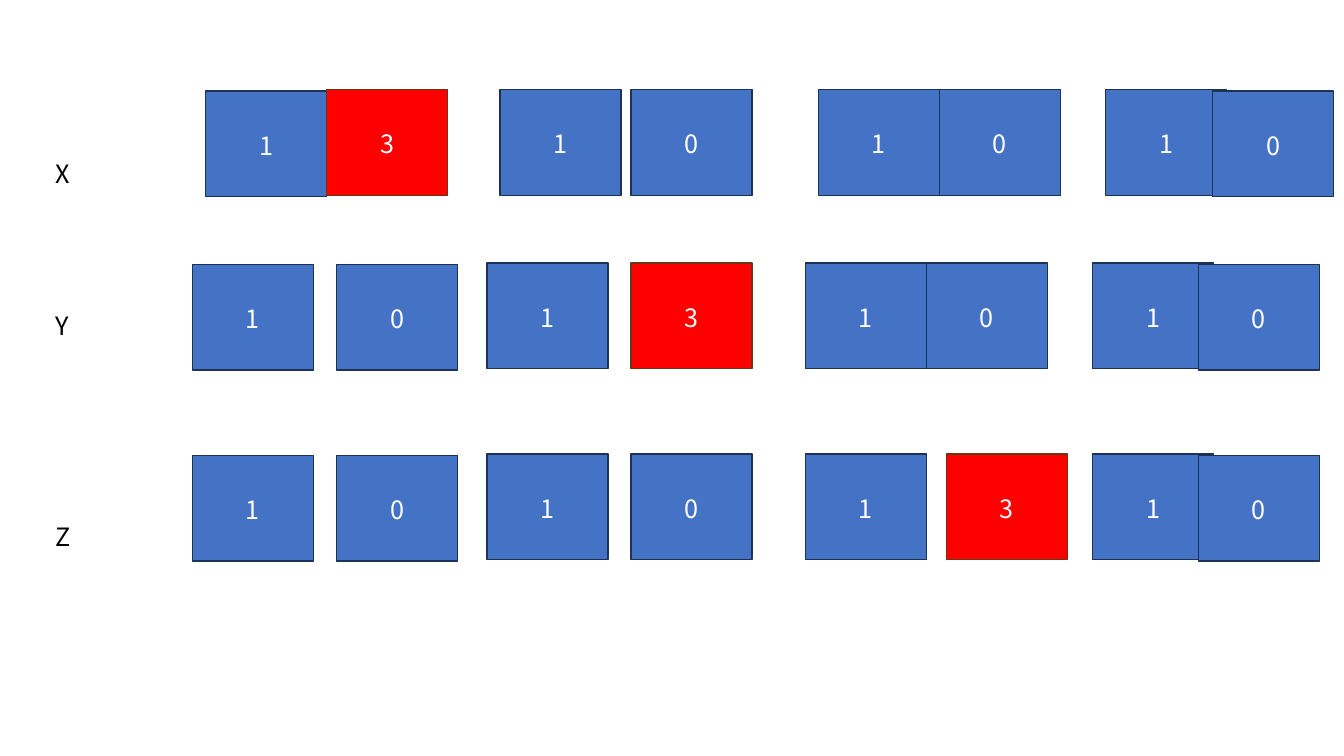
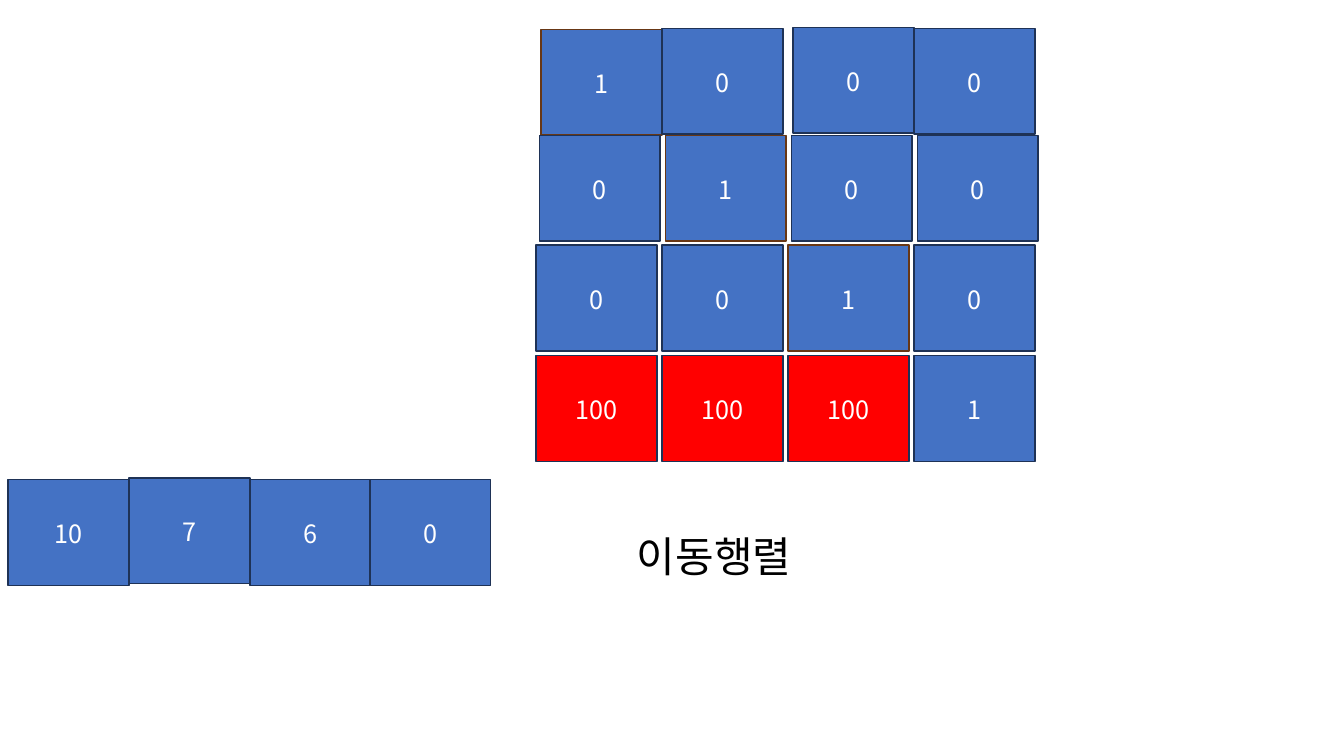
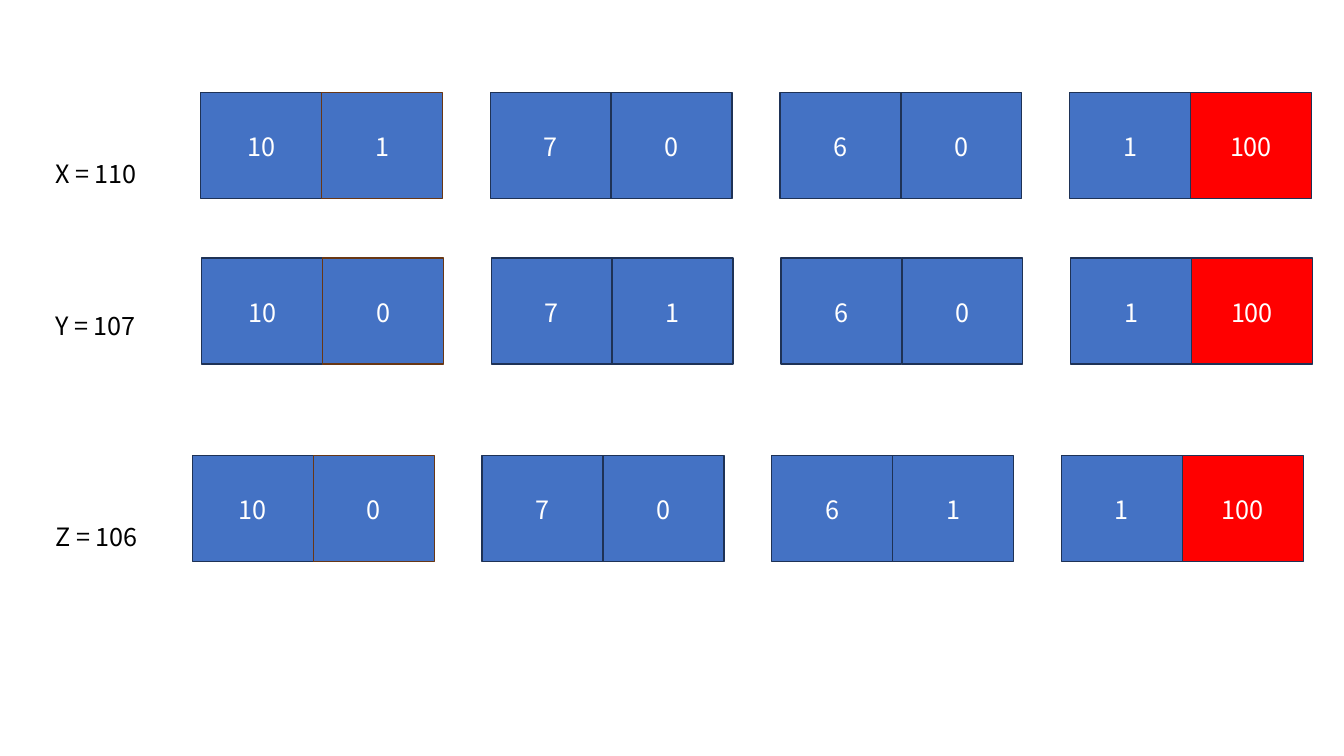
from lxml import etree
from pptx import Presentation
from pptx.dml.color import RGBColor
from pptx.enum.shapes import MSO_SHAPE
from pptx.enum.text import MSO_ANCHOR, MSO_AUTO_SIZE, PP_ALIGN
from pptx.oxml.ns import qn
from pptx.util import Pt

RECT = MSO_SHAPE.RECTANGLE
MIDDLE = MSO_ANCHOR.MIDDLE
GROW = MSO_AUTO_SIZE.SHAPE_TO_FIT_TEXT
LEFT, CENTER = PP_ALIGN.LEFT, PP_ALIGN.CENTER

COLORS = {"blue": "4472C4", "red": "FF0000", "navy": "1E3256",
          "brown": "683715", "white": "FFFFFF", "black": "000000"}
FONT = "Noto Sans CJK KR"
LEADING = 1.29
CELL_W, CELL_H = 86.4, 75.6


def rgb(name):
    return RGBColor.from_string(COLORS[name])


def write(p, text, size, color, align=LEFT, before=0):
    paragraph_format = {"alignment": align, "space_before": Pt(before),
                        "line_spacing": Pt(round(size * LEADING, 1))}
    for name, value in paragraph_format.items():
        setattr(p, name, value)
    r = p.add_run()
    r.text = text
    for name, value in {"size": Pt(size), "name": FONT}.items():
        setattr(r.font, name, value)
    r.font.color.rgb = rgb(color)
    # East Asian typeface for the Korean text
    etree.SubElement(r.font._element, qn("a:ea"), typeface=FONT)


def add_cell(s, text, left, top, fill, edge):
    sp = s.shapes.add_shape(RECT, Pt(left), Pt(top), Pt(CELL_W), Pt(CELL_H))
    sp.shadow.inherit = False
    sp.fill.solid()
    sp.fill.fore_color.rgb = rgb(fill)
    sp.line.color.rgb = rgb(edge)
    sp.line.width = Pt(1)
    tf = sp.text_frame
    tf.vertical_anchor = MIDDLE
    write(tf.paragraphs[0], text, 18, "white", CENTER)


def add_row(s, values, lefts, top, red=(), brown=(), shifts=None):
    """Draw one row; red and brown hold the columns with that fill or edge."""
    shifts = shifts or {}
    for col, (text, left) in enumerate(zip(values.split(), lefts)):
        add_cell(s, text, left, top + shifts.get(col, 0),
                 "red" if col in red else "blue",
                 "brown" if col in brown else "navy")


def add_text(s, lines, left, top, width, height, size, gaps=(0,)):
    sp = s.shapes.add_textbox(Pt(left), Pt(top), Pt(width), Pt(height))
    tf = sp.text_frame
    tf.word_wrap = False
    tf.auto_size = GROW
    for i, (text, gap) in enumerate(zip(lines, gaps)):
        p = tf.add_paragraph() if i else tf.paragraphs[0]
        write(p, text, size, "black", before=gap)


def add_axis_labels(s, labels, width):
    add_text(s, labels, 32.4, 108, width, 290.9, 18, gaps=(0, 85.4, 127.5))


def add_scaling_slide(s):
    low_ends = {0: 1, 7: 1}
    low_start = {0: 1, 1: 1, 7: 1}
    x_lefts = (146.9, 233.3, 357.1, 450.7, 584.6, 671, 789.8, 866.2)
    y_lefts = (137.5, 240.5, 347.8, 450.7, 575.3, 661.7, 780.5, 856.1)
    z_lefts = (*y_lefts[:5], 676.1, *y_lefts[6:])
    rows = (("1 3 1 0 1 0 1 0", x_lefts, 64, 1, low_ends),
            ("1 0 1 3 1 0 1 0", y_lefts, 187.8, 3, low_start),
            ("1 0 1 0 1 3 1 0", z_lefts, 324.2, 5, low_start))
    for values, lefts, top, red, shifts in rows:
        add_row(s, values, lefts, top, (red,), (red,), shifts)
    add_axis_labels(s, ("X", "Y", "Z"), 25.2)


def add_matrix_slide(s):
    # Vector
    add_row(s, "10 7 6 0", (5.8, 92.2, 178.6, 264.2), 342.6, shifts={1: -1.3})
    # Translation matrix
    add_row(s, "1 0 0 0", (386.6, 473, 566.6, 653), 20.2, brown=(0,),
            shifts={0: 0.7, 2: -0.7})
    rows = (("0 1 0 0", 385.2, 96.6, (), (1,)),
            ("0 0 1 0", 383, 175, (), (2,)),
            ("100 100 100 1", 383, 254, (0, 1, 2), ()))
    for values, left, top, red, brown in rows:
        lefts = [left + 90 * col for col in range(4)]
        add_row(s, values, lefts, top, red, brown)
    add_text(s, ("이동행렬",), 447.8, 373, 135.4, 43.9, 30)


def add_result_slide(s):
    add_axis_labels(s, ("X = 110", "Y = 107", "Z = 106"), 81.4)
    rows = (("10 1 7 0 6 0 1 100", 143.3, 66.2),
            ("10 0 7 1 6 0 1 100", 144, 184.4),
            ("10 0 7 0 6 1 1 100", 137.5, 325.4))
    for values, left, top in rows:
        lefts = [left + 206.9 * pair + CELL_W * side
                 for pair in range(4) for side in range(2)]
        add_row(s, values, lefts, top, red=(7,), brown=(1,))


def main():
    prs = Presentation()
    prs.slide_width, prs.slide_height = Pt(960), Pt(540)
    blank = prs.slide_layouts[6]
    for build in (add_scaling_slide, add_matrix_slide, add_result_slide):
        build(prs.slides.add_slide(blank))
    prs.save("out.pptx")


main()
